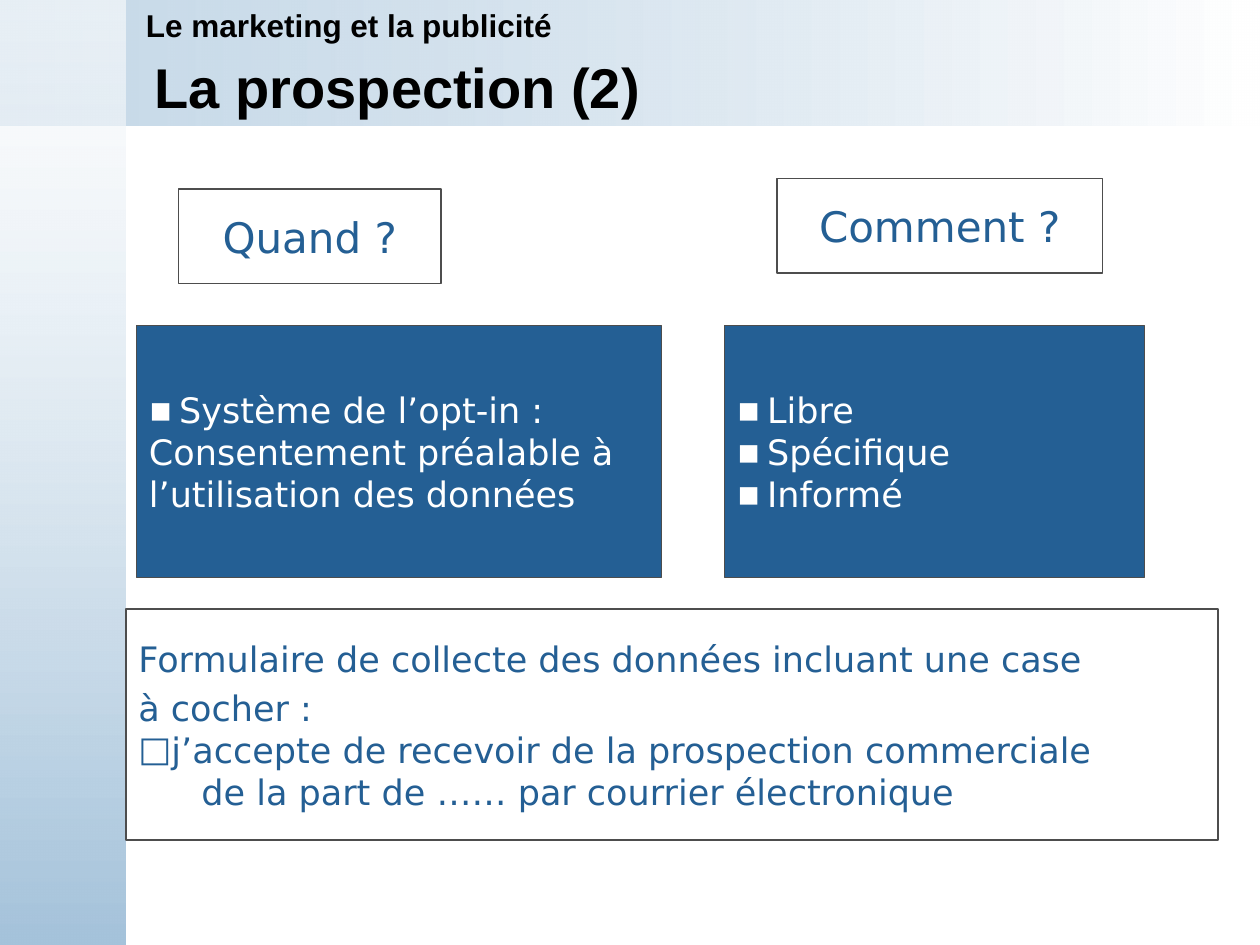
from lxml import etree
from pptx import Presentation
from pptx.dml.color import RGBColor
from pptx.enum.shapes import MSO_SHAPE
from pptx.enum.text import MSO_ANCHOR, PP_ALIGN
from pptx.oxml.ns import qn
from pptx.util import Inches, Pt

RECT = MSO_SHAPE.RECTANGLE
TOP, MIDDLE = MSO_ANCHOR.TOP, MSO_ANCHOR.MIDDLE
LEFT, CENTER = PP_ALIGN.LEFT, PP_ALIGN.CENTER
COLORS = {"blue": "245F94", "pale": "A5C3DB", "white": "FFFFFF",
          "gray": "4D4D4D", "black": "000000"}
RGB = {name: RGBColor.from_string(value) for name, value in COLORS.items()}
BODY = "DejaVu Sans"
HANG = Inches(0.24)

prs = Presentation()
prs.slide_width, prs.slide_height = Inches(10), Inches(7.5)
UNIT = prs.slide_width // 120
s = prs.slides.add_slide(prs.slide_layouts[6])


def add_run(p, text, size, color, font, bold=False):
    r = p.add_run()
    r.text = text
    r.font.size, r.font.name, r.font.bold = Pt(size), font, bold
    r.font.color.rgb = RGB[color]


def set_indent(p, margin, bullet=None):
    pPr = p._p.get_or_add_pPr()
    pPr.set("marL", str(margin))
    if bullet:
        pPr.set("indent", str(-margin))
        etree.SubElement(pPr, qn("a:buFont")).set("typeface", BODY)
        etree.SubElement(pPr, qn("a:buChar")).set("char", bullet)


bands = [
    (120, 12, 0, [("pale", 62), ("white", 100)]),
    (12, 90, 270, [("white", 59), ("pale", 100)]),
]
for cols, rows, angle, stops in bands:
    sp = s.shapes.add_shape(RECT, 0, 0, cols * UNIT, rows * UNIT)
    sp.shadow.inherit = False
    sp.line.fill.background()
    sp.fill.gradient()
    sp.fill.gradient_angle = angle
    for stop, (color, opacity), position in zip(sp.fill.gradient_stops, stops, (0, 1)):
        stop.color.rgb = RGB[color]
        stop.position = position
        clr = stop._gs.find(qn("a:srgbClr"))
        etree.SubElement(clr, qn("a:alpha")).set("val", str(opacity * 1000))

boxes = [
    (13, 31, 50, 24, "blue", "white", 20, LEFT, [
        ("Système de l’opt-in :", HANG, "▪"),
        ("Consentement préalable à", 0, None),
        ("l’utilisation des données", 0, None)]),
    (69, 31, 40, 24, "blue", "white", 20, LEFT,
     [(word, HANG, "▪") for word in ("Libre", "Spécifique", "Informé")]),
    (17, 18, 25, 9, None, "blue", 24, CENTER, [("Quand ?", 0, None)]),
    (74, 17, 31, 9, None, "blue", 24, CENTER, [("Comment ?", 0, None)]),
    (12, 58, 104, 22, None, "blue", 20, LEFT, [
        ("Formulaire de collecte des données incluant une case", 0, None),
        ("à cocher :", 0, None),
        ("j’accepte de recevoir de la prospection commerciale", HANG, "□"),
        ("de la part de …… par courrier électronique", Inches(0.5), None)]),
]
for col, row, cols, rows, fill, color, size, align, lines in boxes:
    sp = s.shapes.add_shape(RECT, col * UNIT, row * UNIT, cols * UNIT, rows * UNIT)
    sp.shadow.inherit = False
    if fill:
        sp.fill.solid()
        sp.fill.fore_color.rgb = RGB[fill]
    else:
        sp.fill.background()
    sp.line.color.rgb = RGB["gray"]
    sp.line.width = Pt(0.75)
    tf = sp.text_frame
    tf.word_wrap = True
    tf.vertical_anchor = MIDDLE
    for i, (text, margin, bullet) in enumerate(lines):
        p = tf.add_paragraph() if i else tf.paragraphs[0]
        p.alignment = align
        if text == "à cocher :":
            p.space_before = Pt(4)
        set_indent(p, margin, bullet)
        add_run(p, text, size, color, BODY)

headings = [
    (1.06, 0, 8.94, 0.4, TOP, "Le marketing et la publicité", 18),
    (1.13, 0.42, 8.45, 0.52, MIDDLE, "La prospection (2)", 32),
]
for x, y, w, h, anchor, text, size in headings:
    sp = s.shapes.add_textbox(Inches(x), Inches(y), Inches(w), Inches(h))
    tf = sp.text_frame
    tf.word_wrap = True
    tf.vertical_anchor = anchor
    add_run(tf.paragraphs[0], text, size, "black", "Arial", True)

prs.save("out.pptx")
